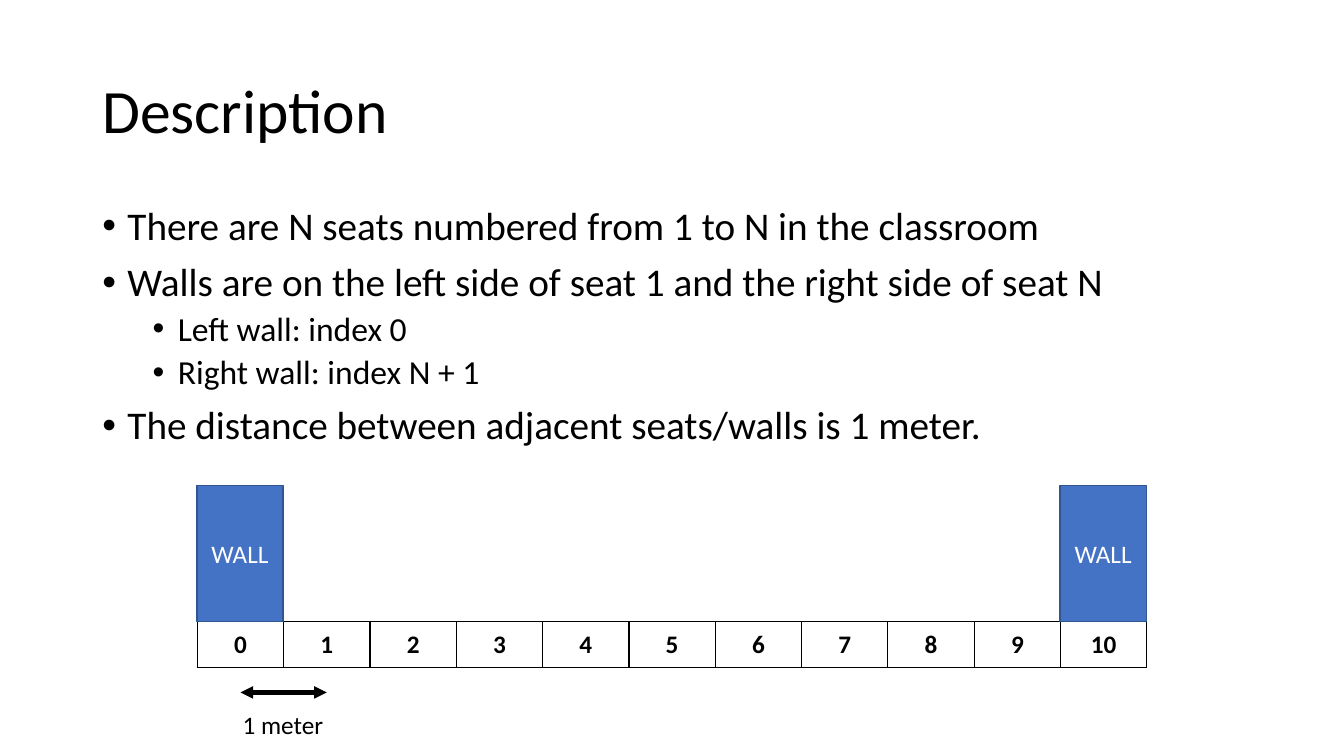
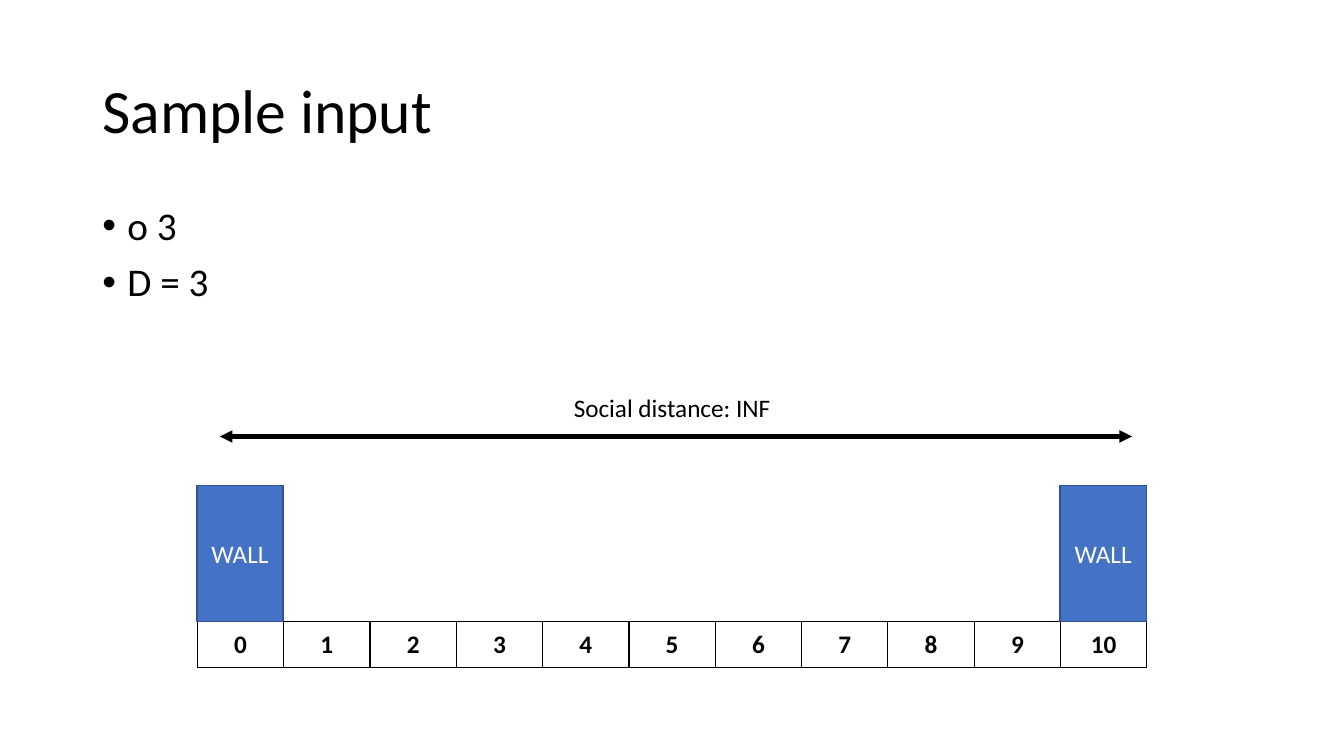
from lxml import etree
from pptx import Presentation
from pptx.dml.color import RGBColor
from pptx.enum.shapes import MSO_CONNECTOR, MSO_SHAPE
from pptx.enum.text import MSO_ANCHOR, PP_ALIGN
from pptx.oxml import parse_xml
from pptx.oxml.ns import qn
from pptx.util import Pt

BLACK = RGBColor(0x00, 0x00, 0x00)
WHITE = RGBColor(0xFF, 0xFF, 0xFF)
BLUE = RGBColor(0x44, 0x72, 0xC4)
NAVY = RGBColor(0x32, 0x54, 0x91)
FONT = "Calibri"
LEFT, CENTER = PP_ALIGN.LEFT, PP_ALIGN.CENTER
TOP, MIDDLE = MSO_ANCHOR.TOP, MSO_ANCHOR.MIDDLE
RECT, LINE = MSO_SHAPE.RECTANGLE, MSO_CONNECTOR.STRAIGHT
NS = "http://schemas.openxmlformats.org/drawingml/2006/main"

TITLE = (66, 28.8, 828, 104.4)
BODY = (66, 144, 828, 342.7)
ROOM = (141, 347, 678.2, 129.6)
SEATS = 11
SEAT = ROOM[2] / SEATS
ROW = 32.4
LEVELS = [(28, 18, 10), (24, 54, 5)]


def points(box):
    return [Pt(round(n, 2)) for n in box]


def style(para, size, color=BLACK, bold=False):
    for run in para.runs:
        font = run.font
        font.name, font.size, font.bold = FONT, Pt(size), bold
        font.color.rgb = color


def label(slide, box, text, size=18, align=LEFT, anchor=TOP):
    frame = slide.shapes.add_textbox(*points(box)).text_frame
    frame.word_wrap = True
    frame.vertical_anchor = anchor
    frame.text = text
    para = frame.paragraphs[0]
    para.alignment = align
    style(para, size)
    return frame


def title(slide, box, text):
    frame = label(slide, box, text, 44, anchor=MIDDLE)
    frame.paragraphs[0].line_spacing = 0.9


def bullets(slide, box, items):
    frame = label(slide, box, "\n".join(text for _, text in items))
    for para, (level, _) in zip(frame.paragraphs, items):
        size, indent, gap = LEVELS[level]
        para.level = level
        para.line_spacing = 0.9
        para.space_before = Pt(gap)
        style(para, size)
        props = para._p.get_or_add_pPr()
        props.set("marL", str(Pt(indent)))
        props.set("indent", str(Pt(-18)))
        etree.SubElement(props, qn("a:buFont"), typeface="Arial")
        etree.SubElement(props, qn("a:buChar"), char="•")


def arrow(slide, left, right, y):
    line = slide.shapes.add_connector(LINE, *points((left, y, right, y)))
    line.line.color.rgb = BLACK
    line.line.width = Pt(3)
    for end in ("headEnd", "tailEnd"):
        etree.SubElement(line.line._ln, qn("a:" + end), type="triangle")
    etree.SubElement(line._element.spPr, qn("a:effectLst"))


def wall(slide, box):
    shape = slide.shapes.add_shape(RECT, *points(box))
    shape.shadow.inherit = False
    shape.fill.solid()
    shape.fill.fore_color.rgb = BLUE
    shape.line.color.rgb = NAVY
    shape.line.width = Pt(1)
    frame = shape.text_frame
    frame.text = "WALL"
    frame.vertical_anchor = MIDDLE
    frame.paragraphs[0].alignment = CENTER
    style(frame.paragraphs[0], 18, WHITE)


def border(cell):
    props = cell._tc.get_or_add_tcPr()
    for side in "LRTB":
        props.append(parse_xml(
            f'<a:ln{side} xmlns:a="{NS}" w="{Pt(1)}"><a:solidFill>'
            f'<a:srgbClr val="{BLACK}"/></a:solidFill></a:ln{side}>'))


def seats(slide, box):
    table = slide.shapes.add_table(1, SEATS, *points(box)).table
    for i, col in enumerate(table.columns):
        col.width = Pt(SEAT)
        cell = table.cell(0, i)
        border(cell)
        cell.fill.solid()
        cell.fill.fore_color.rgb = WHITE
        cell.vertical_anchor = MIDDLE
        cell.text = str(i)
        para = cell.text_frame.paragraphs[0]
        para.alignment = CENTER
        style(para, 18, bold=True)


def room(slide, box):
    left, top, width, height = box
    tall = height - ROW
    seats(slide, (left, top + tall, width, ROW))
    for x in (left, left + width - SEAT):
        wall(slide, (x - 0.4, top - 0.4, SEAT, tall))


def page(deck, head, items):
    slide = deck.slides.add_slide(deck.slide_layouts[6])
    title(slide, TITLE, head)
    bullets(slide, BODY, items)
    room(slide, ROOM)
    return slide


def meter(slide, box):
    left, top, _, height = box
    low = top + height
    arrow(slide, left + SEAT / 2, left + SEAT * 1.5, low + 18)
    label(slide, (left + SEAT - 36.4, low + 26.7, 72.8, 29), "1 meter")


def spread(slide, box):
    left, top, width, _ = box
    arrow(slide, left + 16, left + width - 10.6, top - 35.2)
    label(slide, (left + width / 2 - 87, top - 70.5, 174, 29),
          "Social distance: INF", align=CENTER)


deck = Presentation()
deck.slide_width, deck.slide_height = Pt(960), Pt(540)
meter(page(deck, "Description", [
    (0, "There are N seats numbered from 1 to N in the classroom"),
    (0, "Walls are on the left side of seat 1 and the right side of seat N"),
    (1, "Left wall: index 0"),
    (1, "Right wall: index N + 1"),
    (0, "The distance between adjacent seats/walls is 1 meter."),
]), ROOM)
spread(page(deck, "Sample input", [(0, "o 3"), (0, "D = 3")]), ROOM)
deck.save("out.pptx")
